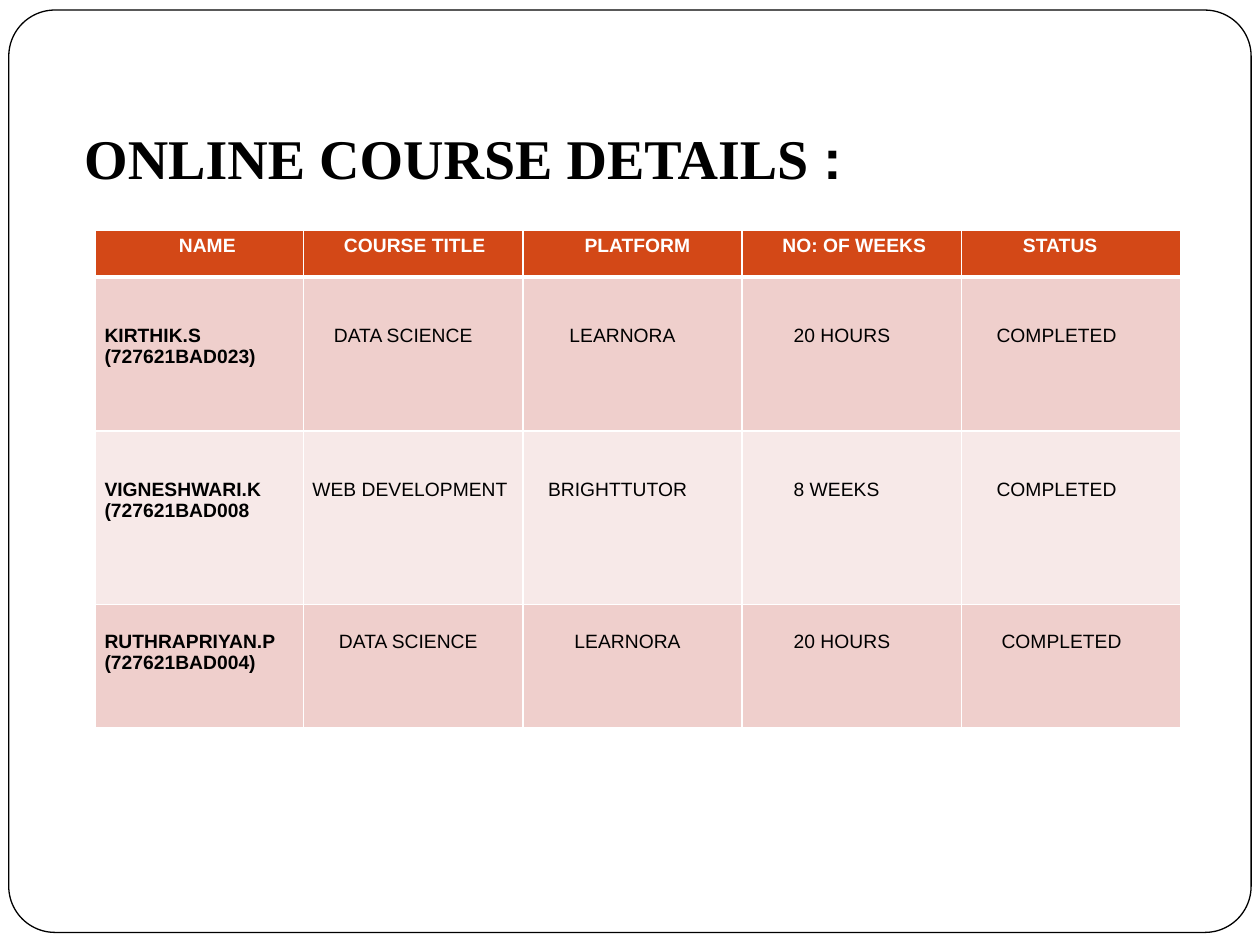
from pptx import Presentation
from pptx.dml.color import RGBColor
from pptx.enum.shapes import MSO_SHAPE
from pptx.enum.text import MSO_ANCHOR
from pptx.oxml import parse_xml
from pptx.oxml.ns import nsdecls
from pptx.util import Inches, Pt

ROUNDED = MSO_SHAPE.ROUNDED_RECTANGLE
BOTTOM = MSO_ANCHOR.BOTTOM

# Content
TITLE = [("ONLINE COURSE DETAILS ", "Times New Roman"), (":", "Arial")]
HEADER = ["NAME", "COURSE TITLE", "PLATFORM", "NO: OF WEEKS", "STATUS"]
COURSES = [
    ["KIRTHIK.S\n(727621BAD023)", "DATA SCIENCE", "LEARNORA", "20 HOURS", "COMPLETED"],
    ["VIGNESHWARI.K\n(727621BAD008", "WEB DEVELOPMENT", "BRIGHTTUTOR", "8 WEEKS", "COMPLETED"],
    ["RUTHRAPRIYAN.P\n(727621BAD004)", "DATA SCIENCE", "LEARNORA", "20 HOURS", "COMPLETED"],
]

# Layout in inches: text indents per cell, text drop per row
INDENTS = [
    [0.59, 0.25, 0.42, 0.25, 0.42],
    [0, 0.17, 0.3, 0.34, 0.21],
    [0, 0, 0.13, 0.34, 0.21],
    [0, 0.21, 0.34, 0.34, 0.25],
]
DROPS = [0, 0.34, 0.34, 0.17]
COL_WIDTHS = [1.65] + [1.74] * 4
ROW_HEIGHTS = [0.37, 1.22, 1.38, 0.98]
PAD_X, PAD_Y = 0.07, 0.04

COLORS = {"white": "FFFFFF", "black": "000000", "header": "D34817",
          "band_dark": "EFCFCC", "band_light": "F7E9E8"}
ROW_FILLS = ["header", "band_dark", "band_light", "band_dark"]


def rgb(name):
    return RGBColor.from_string(COLORS[name])


def set_font(font, color, **values):
    for key, value in values.items():
        setattr(font, key, value)
    font.color.rgb = rgb(color)


def set_borders(cell, widths):
    tc_pr = cell._tc.get_or_add_tcPr()
    for i, (side, width) in enumerate(widths.items()):
        tc_pr.insert(i, parse_xml(
            f'<a:ln{side} {nsdecls("a")} w="{Pt(width)}"><a:solidFill>'
            f'<a:srgbClr val="{COLORS["white"]}"/></a:solidFill></a:ln{side}>'))


prs = Presentation()
prs.slide_width, prs.slide_height = Inches(10), Inches(7.5)
s = prs.slides.add_slide(prs.slide_layouts[6])

# Rounded frame
frame = s.shapes.add_shape(ROUNDED, Inches(0.07), Inches(0.08), Inches(9.86), Inches(7.32))
frame.adjustments[0] = 0.05
frame.shadow.inherit = False
frame.fill.solid()
frame.fill.fore_color.rgb = rgb("white")
frame.line.color.rgb = rgb("black")
frame.line.width = Pt(0.75)

# Title
title = s.shapes.add_textbox(Inches(0.57), Inches(0.52), Inches(8.62), Inches(1.09))
tf = title.text_frame
tf.word_wrap = True
tf.vertical_anchor = BOTTOM
tf.margin_bottom = Inches(0.1)
for text, face in TITLE:
    r = tf.paragraphs[0].add_run()
    r.text = text
    set_font(r.font, "black", name=face, size=Pt(32), bold=True)

# Course table
rows = [HEADER] + COURSES
table = s.shapes.add_table(len(rows), len(HEADER), Inches(0.76), Inches(1.83),
                           Inches(sum(COL_WIDTHS)), Inches(sum(ROW_HEIGHTS))).table
for column, width in zip(table.columns, COL_WIDTHS):
    column.width = Inches(width)
for row, height in zip(table.rows, ROW_HEIGHTS):
    row.height = Inches(height)

for i, row in enumerate(rows):
    for j, text in enumerate(row):
        cell = table.cell(i, j)
        cell.text = text
        cell.margin_left = Inches(PAD_X + INDENTS[i][j])
        cell.margin_right = Inches(PAD_X)
        cell.margin_top = Inches(PAD_Y + DROPS[i])
        cell.margin_bottom = Inches(PAD_Y)
        cell.fill.solid()
        cell.fill.fore_color.rgb = rgb(ROW_FILLS[i])
        set_borders(cell, {"L": 1, "R": 1, "T": 3 if i == 1 else 1, "B": 3 if i == 0 else 1})
        for p in cell.text_frame.paragraphs:
            for r in p.runs:
                set_font(r.font, "white" if i == 0 else "black", name="Arial",
                         size=Pt(11), bold=i == 0 or j == 0)

prs.save("out.pptx")
